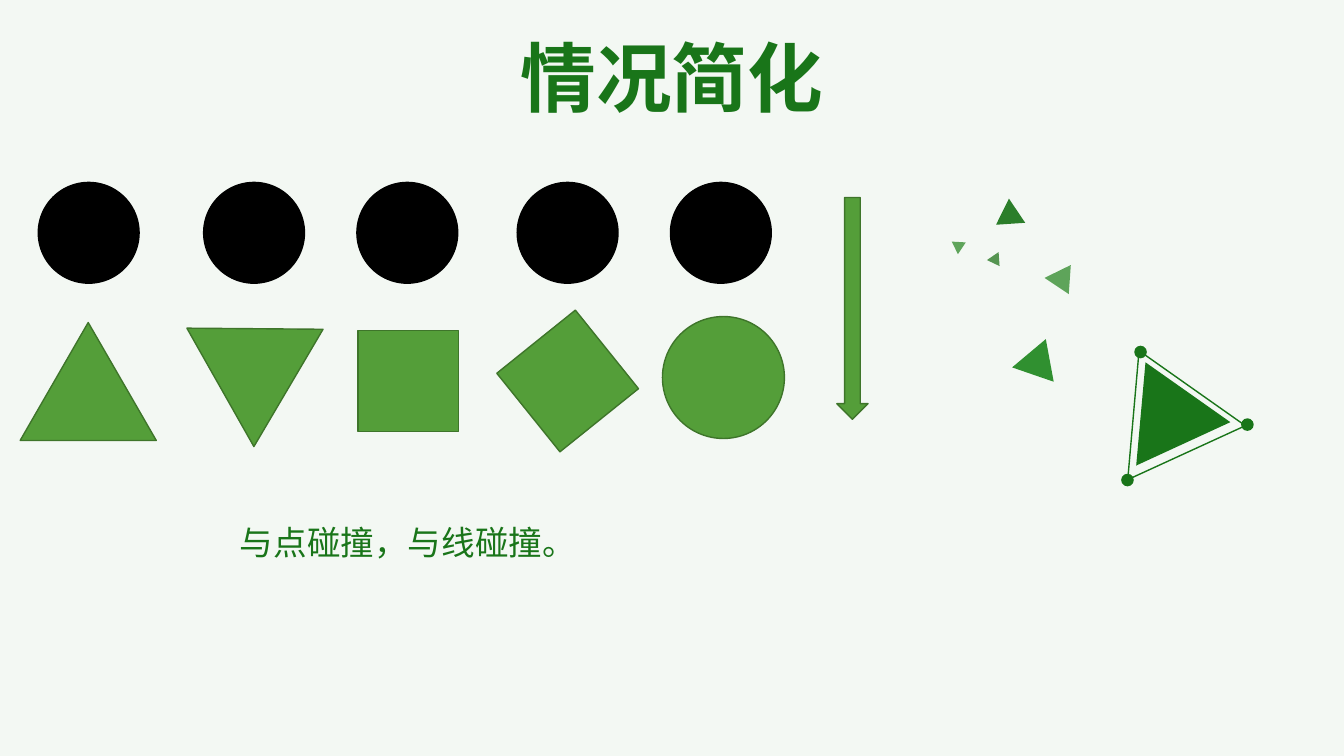
"""Build the slide on simplifying collision cases between a ball and shapes."""
from lxml import etree
from pptx import Presentation
from pptx.dml.color import RGBColor
from pptx.enum import shapes, text
from pptx.oxml.ns import qn
from pptx.util import Inches, Pt

FONT = "Noto Sans CJK SC"
COLORS = {
    "background": "F3F8F3", "dark": "197519", "obstacle": "549E39", "edge": "3E752A",
    "ball": "000000", "light": "5EA45A", "medium": "309030", "deep": "2B7E2A", "soft": "559551",
}
TRIANGLE = shapes.MSO_SHAPE.ISOSCELES_TRIANGLE
OVAL = shapes.MSO_SHAPE.OVAL
SQUARE = shapes.MSO_SHAPE.RECTANGLE

TEXTS = [
    ("情况简化", (0.15, 0.26, 13.03, 1.01), 54, True, text.PP_ALIGN.CENTER),
    ("与点碰撞，与线碰撞。", (2.28, 5.13, 3.32, 0.5), 24, False, text.PP_ALIGN.LEFT),
]
BALL_TOP, BALL_SIZE = 1.81, 1
BALL_LEFTS = [0.38, 2.02, 3.54, 5.13, 6.65]
OBSTACLES = [
    (TRIANGLE, (0.2, 3.2, 1.35, 1.17), 0),
    (TRIANGLE, (2.02, 2.97, 1.35, 1.17), 60.5),
    (SQUARE, (3.55, 3.28, 1, 1), 0),
    (SQUARE, (5.13, 3.28, 1, 1), 51.2),
    (OVAL, (6.57, 3.14, 1.21, 1.21), 0),
    (shapes.MSO_SHAPE.DOWN_ARROW, (8.3, 1.96, 0.31, 2.2), 0),
]
FRAGMENTS = [
    ((10.4, 2.68, 0.29, 0.25), 153.9, "light"),
    ((10.01, 3.42, 0.43, 0.38), 259.5, "medium"),
    ((9.87, 1.97, 0.29, 0.25), 356.2, "deep"),
    ((9.42, 2.37, 0.14, 0.12), 303.5, "light"),
    ((9.81, 2.53, 0.14, 0.12), 145.8, "soft"),
]
EMBLEM_ROTATION = 215.2
EMBLEM_OUTLINE = (10.86, 3.75, 1.29, 1.11)
EMBLEM_CORE = (11.01, 3.81, 1.03, 0.89)
EMBLEM_DOTS = [(12.31, 4.15), (11.12, 4.7), (11.25, 3.43)]
DOT_SIZE = 0.125


def color(name):
    return RGBColor.from_string(COLORS[name])


def add_figure(parent, kind, box, rotation=0, fill=None, line=None):
    shape = parent.add_shape(kind, *map(Inches, box))
    shape.rotation = rotation
    shape.shadow.inherit = False
    if fill:
        shape.fill.solid()
        shape.fill.fore_color.rgb = color(fill)
    else:
        shape.fill.background()
    if line:
        shape.line.color.rgb = color(line)
        shape.line.width = Pt(1)
    else:
        shape.line.fill.background()


def add_text(slide, wording, box, size, bold, alignment):
    frame = slide.shapes.add_textbox(*map(Inches, box)).text_frame
    frame.word_wrap = True
    frame.auto_size = text.MSO_AUTO_SIZE.SHAPE_TO_FIT_TEXT
    frame.text = wording
    paragraph = frame.paragraphs[0]
    paragraph.alignment = alignment
    paragraph.line_spacing = Pt(size * 1.2)
    run = paragraph.runs[0]
    run.font.size, run.font.bold, run.font.name = Pt(size), bold, FONT
    run.font.color.rgb = color("dark")
    etree.SubElement(run.font._element, qn("a:ea"), typeface=FONT)


def main():
    presentation = Presentation()
    presentation.slide_width, presentation.slide_height = Inches(13.33), Inches(7.5)
    slide = presentation.slides.add_slide(presentation.slide_layouts[6])
    slide.background.fill.solid()
    slide.background.fill.fore_color.rgb = color("background")

    for entry in TEXTS:
        add_text(slide, *entry)
    for box, rotation, fill in FRAGMENTS:
        add_figure(slide.shapes, TRIANGLE, box, rotation, fill)

    emblem = slide.shapes.add_group_shape().shapes
    add_figure(emblem, TRIANGLE, EMBLEM_OUTLINE, EMBLEM_ROTATION, line="dark")
    add_figure(emblem, TRIANGLE, EMBLEM_CORE, EMBLEM_ROTATION, "dark")
    for left, top in EMBLEM_DOTS:
        add_figure(emblem, OVAL, (left, top, DOT_SIZE, DOT_SIZE), fill="dark")

    for left in BALL_LEFTS:
        add_figure(slide.shapes, OVAL, (left, BALL_TOP, BALL_SIZE, BALL_SIZE), 0, "ball", "ball")
    for kind, box, rotation in OBSTACLES:
        add_figure(slide.shapes, kind, box, rotation, "obstacle", "edge")
    presentation.save("out.pptx")


if __name__ == "__main__":
    main()
